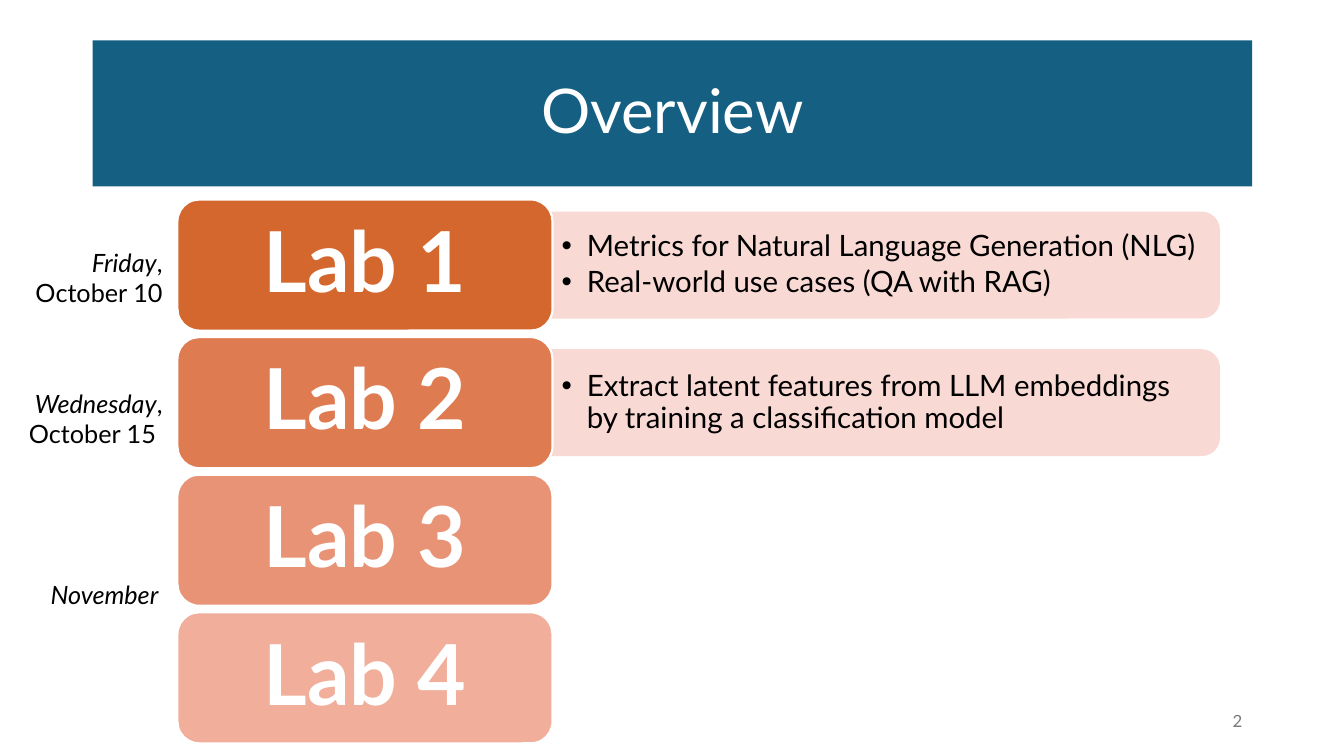
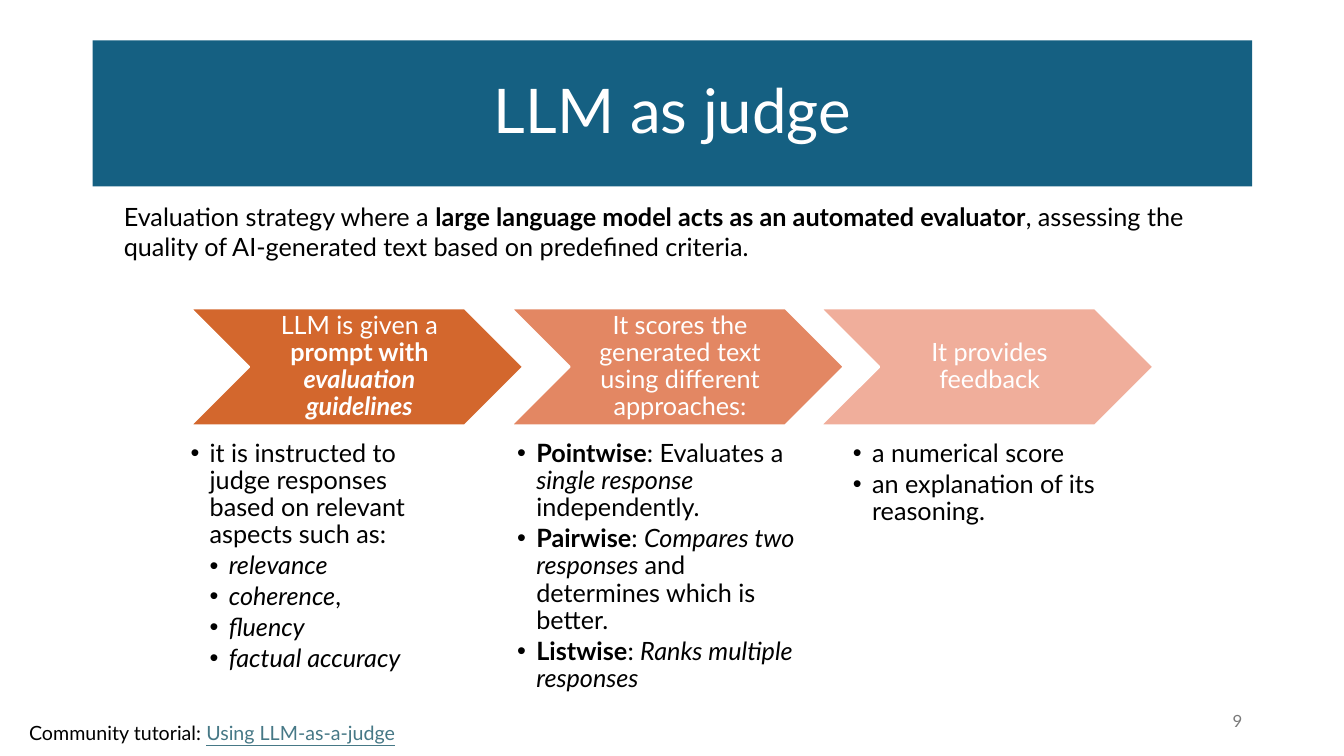
"""Build the lab overview slide and the LLM-as-judge slide."""
from dataclasses import dataclass

from lxml.etree import SubElement
from pptx import Presentation
from pptx.dml.color import RGBColor
from pptx.enum.shapes import MSO_SHAPE as Shape
from pptx.enum.text import MSO_ANCHOR as Anchor, PP_ALIGN as Align
from pptx.oxml.ns import qn
from pptx.util import Inches, Pt


@dataclass(frozen=True)
class Theme:
    font: str = "Lato"
    banner: str = "156082"
    panel: str = "F8D9D3"
    white: str = "FFFFFF"
    black: str = "000000"
    grey: str = "797979"
    link: str = "467886"
    title_size: int = 44
    lab_size: int = 60
    panel_size: int = 21
    body_size: int = 18
    source_size: int = 14
    number_size: int = 12


THEME = Theme()

LABS = [
    ("Lab 1", "D3672D", ["Metrics for Natural Language Generation (NLG)",
                         "Real-world use cases (QA with RAG)"]),
    ("Lab 2", "DE7B51", ["Extract latent features from LLM embeddings "
                         "by training a classification model"]),
    ("Lab 3", "E89375", []),
    ("Lab 4", "F0AE9B", []),
]
DATES = [
    ((0.19, 2.4, 1.52, 0.71), [[("Friday", "i"), (", October 10", "")]]),
    ((0.11, 3.8, 1.6, 0.71), [[("Wednesday", "i"), (",", "")], "October 15 "]),
    ((0.07, 5.7, 1.6, 0.4), [[("November", "i")]]),
]
INTRO = [("Evaluation strategy where a ", ""),
         ("large language model acts as an automated evaluator", "b"),
         (", assessing the quality of AI-generated text based on "
          "predefined criteria.", "")]
SOURCE = [("Community tutorial: ", ""), ("Using LLM-as-a-judge", "u")]
STEPS = [
    {"left": 1.89, "color": "D3672D",
     "heading": [("LLM is given a ", ""), ("prompt with ", "b"),
                 ("evaluation guidelines", "bi")],
     "body": (1.89, 2.64),
     "points": [(1, "it is instructed to judge responses based on relevant "
                    "aspects such as:"),
                (2, [("relevance", "i")]),
                (2, [("coherence", "i"), (",", "")]),
                (2, [("fluency", "i")]),
                (2, [("factual accuracy", "i")])]},
    {"left": 5.07, "color": "E38763",
     "heading": "It scores the generated text using different approaches:",
     "body": (5.13, 2.86),
     "points": [(1, [("Pointwise", "b"), (": Evaluates a ", ""),
                     ("single response ", "i"), ("independently.", "")]),
                (1, [("Pairwise", "b"), (": ", ""),
                     ("Compares two responses ", "i"),
                     ("and determines which is better.", "")]),
                (1, [("Listwise", "b"), (": ", ""),
                     ("Ranks multiple responses", "i")])]},
    {"left": 8.14, "color": "F0AE9B",
     "heading": "It provides feedback",
     "body": (8.46, 2.64),
     "points": [(1, "a numerical score"),
                (1, "an explanation of its reasoning.")]},
]


def rgb(value):
    return RGBColor.from_string(value)


def write(shape, paragraphs, size, color=THEME.black, align=Align.LEFT,
          anchor=Anchor.TOP, insets=(0.1, 0.05, 0.1, 0.05), spacing=1.0,
          bold=None):
    """Fill a shape with paragraphs, each a string or a list of styled runs."""
    frame = shape.text_frame
    frame.word_wrap = True
    frame.vertical_anchor = anchor
    (frame.margin_left, frame.margin_top,
     frame.margin_right, frame.margin_bottom) = map(Inches, insets)
    for index, content in enumerate(paragraphs):
        paragraph = frame.add_paragraph() if index else frame.paragraphs[0]
        paragraph.alignment = align
        paragraph.line_spacing = spacing
        font = paragraph.font
        font.name, font.size, font.bold = THEME.font, Pt(size), bold
        font.color.rgb = rgb(color)
        runs = [(content, "")] if isinstance(content, str) else content
        for text, style in runs:
            run = paragraph.add_run()
            run.text = text
            if "b" in style:
                run.font.bold = True
            if "i" in style:
                run.font.italic = True
            if "u" in style:
                run.font.underline = True
                run.font.color.rgb = rgb(THEME.link)


def add_bullets(shape, levels, indent, gap):
    """Give each paragraph a bullet, indented by its level."""
    for paragraph, level in zip(shape.text_frame.paragraphs, levels):
        paragraph.space_after = Pt(gap)
        properties = paragraph._p.get_or_add_pPr()
        properties.set("marL", str(Inches(indent * level)))
        properties.set("indent", str(Inches(-indent)))
        SubElement(properties, qn("a:buFont")).set("typeface", "Arial")
        SubElement(properties, qn("a:buChar")).set("char", "•")


def add_box(slide, kind, box, fill, line=None):
    shape = slide.shapes.add_shape(kind, *map(Inches, box))
    shape.shadow.inherit = False
    shape.fill.solid()
    shape.fill.fore_color.rgb = rgb(fill)
    if line:
        shape.line.color.rgb = rgb(line)
        shape.line.width = Pt(1.5)
    else:
        shape.line.fill.background()
    return shape


def add_text(slide, box, paragraphs, size, **options):
    shape = slide.shapes.add_textbox(*map(Inches, box))
    write(shape, paragraphs, size, **options)
    return shape


def add_slide(presentation, title, number):
    """Add a blank slide with the title banner and the slide number."""
    slide = presentation.slides.add_slide(presentation.slide_layouts[6])
    banner = add_box(slide, Shape.RECTANGLE, (0.92, 0.4, 11.5, 1.45),
                     THEME.banner)
    write(banner, [title], THEME.title_size, color=THEME.white,
          align=Align.CENTER, anchor=Anchor.MIDDLE, spacing=0.9)
    add_text(slide, (9.42, 6.95, 3, 0.4), [str(number)], THEME.number_size,
             color=THEME.grey, align=Align.RIGHT, anchor=Anchor.MIDDLE)
    return slide


def build_overview(presentation):
    slide = add_slide(presentation, "Overview", 2)
    top, pitch, height, panel_height = 1.98, 1.365, 1.3, 1.04
    for index, (name, color, topics) in enumerate(LABS):
        lab_top = top + index * pitch
        if topics:
            panel_top = lab_top + (height - panel_height) / 2
            panel = add_box(slide, Shape.ROUNDED_RECTANGLE,
                            (5.2, panel_top, 6.89, panel_height),
                            THEME.panel, THEME.panel)
            write(panel, topics, THEME.panel_size, anchor=Anchor.MIDDLE,
                  insets=(0.32, 0, 0.09, 0), spacing=0.9)
            add_bullets(panel, [1] * len(topics), indent=0.25, gap=3)
        lab = add_box(slide, Shape.ROUNDED_RECTANGLE,
                      (1.76, lab_top, 3.72, height), color, THEME.white)
        write(lab, [name], THEME.lab_size, color=THEME.white, bold=True,
              align=Align.CENTER, anchor=Anchor.MIDDLE, spacing=0.9)
    for box, lines in DATES:
        add_text(slide, box, lines, THEME.body_size, align=Align.RIGHT)


def build_judge(presentation):
    slide = add_slide(presentation, "LLM as judge", 9)
    add_text(slide, (1.13, 1.95, 10.93, 0.71), [INTRO], THEME.body_size)
    add_text(slide, (0.19, 7.1, 4.02, 0.34), [SOURCE], THEME.source_size)
    for step in STEPS:
        chevron = add_box(slide, Shape.CHEVRON,
                          (step["left"], 3.06, 3.3, 1.16),
                          step["color"], THEME.white)
        write(chevron, [step["heading"]], THEME.body_size, color=THEME.white,
              align=Align.CENTER, anchor=Anchor.MIDDLE,
              insets=(0.08, 0.03, 0.03, 0.03), spacing=0.9)
        left, width = step["body"]
        levels, points = zip(*step["points"])
        body = add_text(slide, (left, 4.37, width, 2.79), points,
                        THEME.body_size, insets=(0, 0, 0, 0), spacing=0.9)
        add_bullets(body, levels, indent=0.19, gap=2.7)


def main():
    presentation = Presentation()
    presentation.slide_width = Inches(13.33)
    presentation.slide_height = Inches(7.5)
    build_overview(presentation)
    build_judge(presentation)
    presentation.save("out.pptx")


if __name__ == "__main__":
    main()
